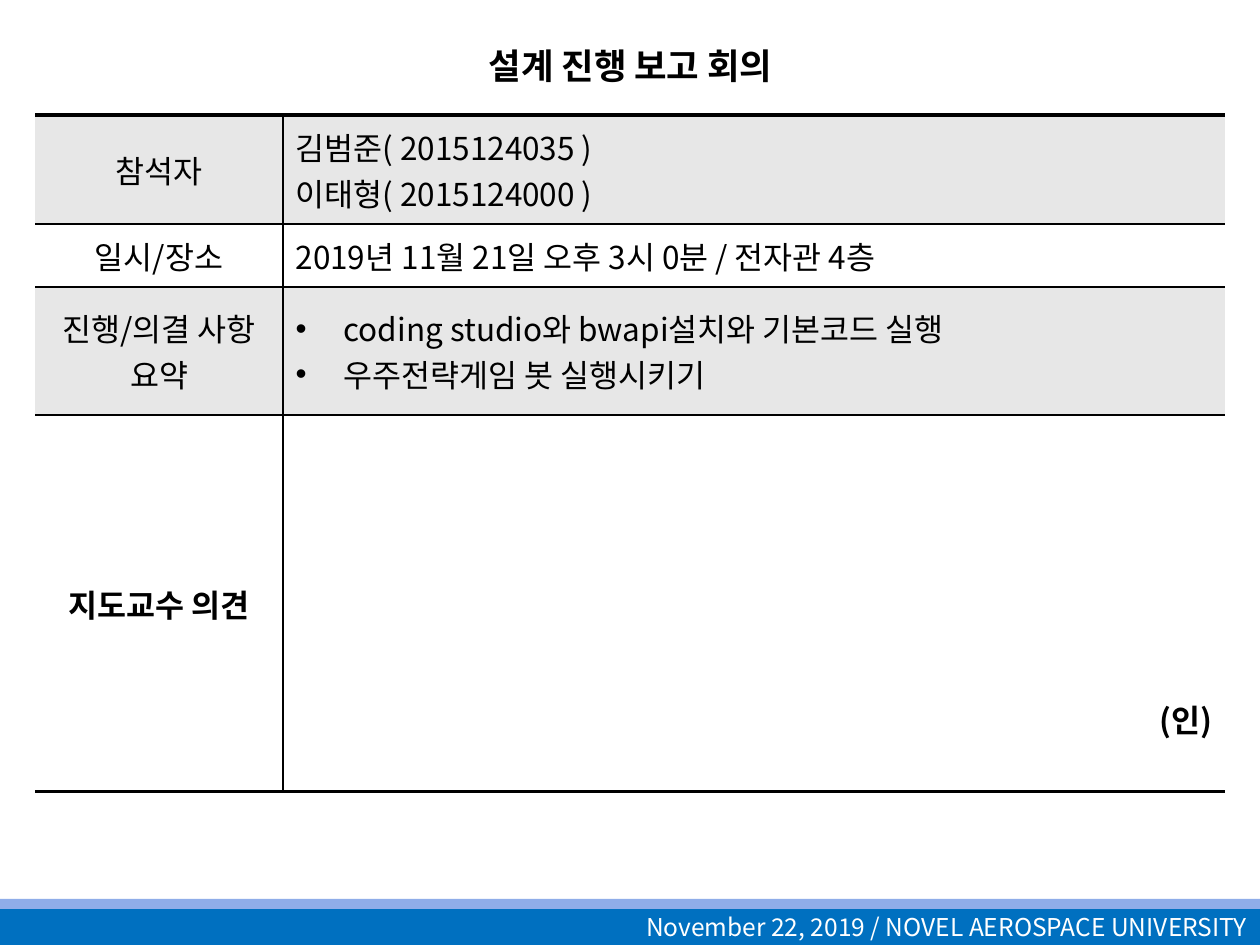
import lxml.etree
import pptx
import pptx.dml.color
import pptx.enum.shapes
import pptx.enum.text
import pptx.oxml.ns
import pptx.util

RGBColor = pptx.dml.color.RGBColor
ALIGN = pptx.enum.text.PP_ALIGN
ANCHOR = pptx.enum.text.MSO_ANCHOR
qn = pptx.oxml.ns.qn

BLACK = RGBColor(0x00, 0x00, 0x00)
WHITE = RGBColor(0xFF, 0xFF, 0xFF)
BAND = RGBColor(0xE7, 0xE7, 0xE7)
OUTLINE = RGBColor(0x80, 0x80, 0x80)
BLUE = RGBColor(0x00, 0x70, 0xC0)
LIGHT_BLUE = RGBColor(0x8F, 0xAD, 0xE9)

FONT = "Noto Sans CJK KR"
PX_PER_INCH = 126
WIDTH, HEIGHT = 1260, 945
BULLET_INDENT = 48


def px(n):
    return pptx.util.Emu(round(n * 914400 / PX_PER_INCH))


def make_line(tag, points, color):
    """Return a line element; without points it hides the line."""
    ln = lxml.etree.Element(qn(tag))
    if not points:
        lxml.etree.SubElement(ln, qn("a:noFill"))
        return ln
    ln.set("w", str(pptx.util.Pt(points)))
    fill = lxml.etree.SubElement(ln, qn("a:solidFill"))
    lxml.etree.SubElement(fill, qn("a:srgbClr"), val=str(color))
    return ln


class Deck:
    def __init__(self):
        self.prs = pptx.Presentation()
        self.prs.slide_width, self.prs.slide_height = px(WIDTH), px(HEIGHT)
        self.slide = self.prs.slides.add_slide(self.prs.slide_layouts[0])
        subtitle = self.slide.placeholders[1].element
        subtitle.getparent().remove(subtitle)

    def add_text(self, tf, lines, align=ALIGN.LEFT, color=BLACK, size=18, bold=False, bullets=False):
        font_format = {"name": FONT, "size": pptx.util.Pt(size), "bold": bold}
        for i, line in enumerate(lines):
            p = tf.add_paragraph() if i else tf.paragraphs[0]
            p.alignment = align
            r = p.add_run()
            r.text = line
            for name, value in font_format.items():
                setattr(r.font, name, value)
            r.font.color.rgb = color
            r.font._element.find(qn("a:latin")).addnext(
                lxml.etree.Element(qn("a:ea"), typeface=FONT))
            if bullets:
                pPr = p._p.get_or_add_pPr()
                pPr.set("marL", str(px(BULLET_INDENT)))
                pPr.set("indent", str(-px(BULLET_INDENT)))
                lxml.etree.SubElement(pPr, qn("a:buFont"), typeface="Arial")
                lxml.etree.SubElement(pPr, qn("a:buChar"), char="•")

    def title(self, text, box, size):
        sp = self.slide.shapes.title
        sp.left, sp.top, sp.width, sp.height = map(px, box)
        tf = sp.text_frame
        tf.vertical_anchor = ANCHOR.MIDDLE
        self.add_text(tf, [text], ALIGN.CENTER, size=size, bold=True)
        rPr = tf.paragraphs[0].runs[0].font._element
        rPr.set("cap", "small")
        rPr.insert(0, make_line("a:ln", 0.25, OUTLINE))

    def bar(self, box, color, text=None):
        sp = self.slide.shapes.add_shape(
            pptx.enum.shapes.MSO_SHAPE.RECTANGLE, *map(px, box))
        sp.shadow.inherit = False
        sp.fill.solid()
        sp.fill.fore_color.rgb = color
        sp.line.fill.background()
        if text:
            sp.text_frame.vertical_anchor = ANCHOR.MIDDLE
            self.add_text(sp.text_frame, [text], ALIGN.RIGHT, WHITE, 14)

    def table(self, left, top, widths, heights, rows):
        """Draw banded rows of (text lines, format) cells, open at both sides."""
        frame = self.slide.shapes.add_table(
            len(heights), len(widths), px(left), px(top), px(sum(widths)), px(sum(heights)))
        table = frame.table
        table.first_row = table.horz_banding = False
        for column, width in zip(table.columns, widths):
            column.width = px(width)
        last_row, last_col = len(heights) - 1, len(widths) - 1
        for i, cells in enumerate(rows):
            table.rows[i].height = px(heights[i])
            for j, (lines, text_format) in enumerate(cells):
                cell = table.cell(i, j)
                cell.vertical_anchor = ANCHOR.MIDDLE
                cell.fill.solid()
                cell.fill.fore_color.rgb = WHITE if i % 2 else BAND
                borders = {"a:lnL": 1 if j else 0,
                           "a:lnR": 1 if j < last_col else 0,
                           "a:lnT": 1 if i else 2,
                           "a:lnB": 1 if i < last_row else 2}
                for k, (tag, points) in enumerate(borders.items()):
                    cell._tc.tcPr.insert(k, make_line(tag, points, BLACK))
                self.add_text(cell.text_frame, lines, **text_format)
        return table


def main():
    deck = Deck()
    deck.bar((0, 908, WIDTH, 37), BLUE, "November 22, 2019 / NOVEL AEROSPACE UNIVERSITY")
    deck.bar((0, 899, WIDTH, 10), LIGHT_BLUE)
    deck.title("설계 진행 보고 회의", (95, 27, 1071, 69), 25.2)

    label = {"align": ALIGN.CENTER}
    rows = [
        [(["참석자"], label),
         (["김범준( 2015124035 )", "이태형( 2015124000 )"], {})],
        [(["일시/장소"], label),
         (["2019년 11월 21일 오후 3시 0분 / 전자관 4층"], {})],
        [(["진행/의결 사항 요약"], label),
         (["coding studio와 bwapi설치와 기본코드 실행", "우주전략게임 봇 실행시키기"],
          {"bullets": True})],
        [(["지도교수 의견"], {"align": ALIGN.CENTER, "bold": True}),
         (["(인)"], {"align": ALIGN.RIGHT, "bold": True})],
    ]
    table = deck.table(35, 115, [248, 942], [109, 63, 128, 377], rows)
    seal = table.cell(3, 1)
    seal.vertical_anchor = ANCHOR.BOTTOM
    seal.margin_bottom = px(50)

    deck.prs.save("out.pptx")


if __name__ == "__main__":
    main()
